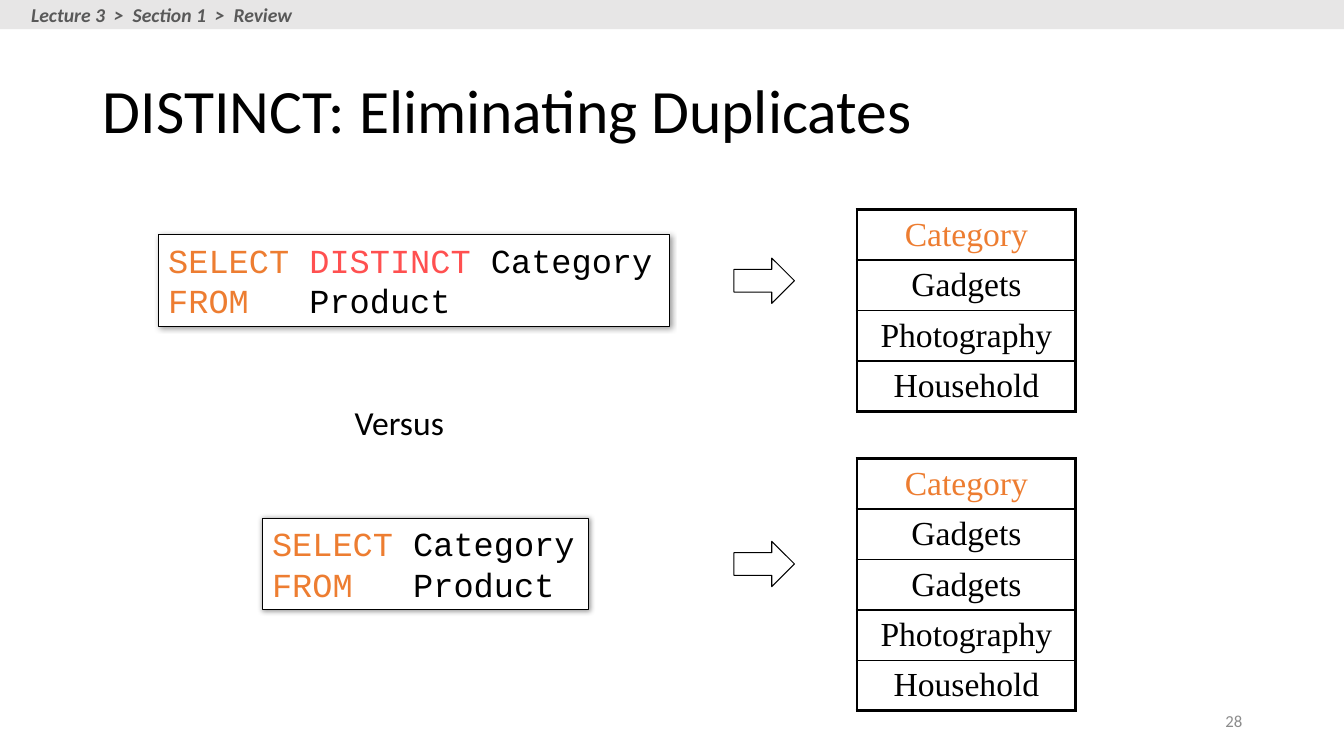
import pptx
import pptx.dml.color
import pptx.enum.shapes
import pptx.enum.text
import pptx.oxml
import pptx.oxml.ns
import pptx.util
from pptx.util import Inches

SHAPES = pptx.enum.shapes.MSO_SHAPE
ANCHOR = pptx.enum.text.MSO_ANCHOR
ALIGN = pptx.enum.text.PP_ALIGN
FIT = pptx.enum.text.MSO_AUTO_SIZE
BLACK, ORANGE, RED = "000000", "ED7D31", "FF5050"
CODE = {"name": "Courier New", "size": 24}
SANS = {"name": "Calibri", "size": 24}
SERIF = {"name": "Times New Roman", "size": 24}


def colour(value):
    return pptx.dml.color.RGBColor.from_string(value)


def drawing_xml(markup):
    return pptx.oxml.parse_xml(markup.replace(
        " ", f" {pptx.oxml.ns.nsdecls('a')} ", 1))


def add_span(para, text, ink, style):
    span = para.add_run()
    span.text = text
    for key, value in style.items():
        setattr(span.font, key, pptx.util.Pt(value) if key == "size" else value)
    span.font.color.rgb = colour(ink)


def add_label(page, place, text, ink, style, align=ALIGN.LEFT, anchor=ANCHOR.TOP):
    box = page.shapes.add_textbox(*map(Inches, place))
    frame = box.text_frame
    # Left-aligned labels stay on one line and grow with their text
    frame.word_wrap = align == ALIGN.RIGHT
    frame.auto_size = FIT.NONE if frame.word_wrap else FIT.SHAPE_TO_FIT_TEXT
    frame.vertical_anchor = anchor
    para = frame.paragraphs[0]
    para.alignment = align
    add_span(para, text, ink, style)


def add_outline(page, kind, place, fill=None, line=BLACK):
    shape = page.shapes.add_shape(kind, *map(Inches, place))
    shape.shadow.inherit = False
    if fill:
        shape.fill.solid()
        shape.fill.fore_color.rgb = colour(fill)
    else:
        shape.fill.background()
    if line:
        shape.line.color.rgb = colour(line)
        shape.line.width = pptx.util.Pt(0.75)
    else:
        shape.line.fill.background()
    return shape


def add_query(page, place, lines):
    box = add_outline(page, SHAPES.RECTANGLE, place, "FFFFFF")
    # Soft shadow towards the lower right
    effects = box._element.spPr.find(pptx.oxml.ns.qn("a:effectLst"))
    effects.append(drawing_xml(
        f'<a:outerShdw blurRad="{pptx.util.Pt(4)}" dist="{pptx.util.Pt(1)}" '
        'dir="2700000" algn="tl" rotWithShape="0"><a:srgbClr val="000000">'
        '<a:alpha val="40000"/></a:srgbClr></a:outerShdw>'))
    frame = box.text_frame
    frame.word_wrap = False
    frame.vertical_anchor = ANCHOR.TOP
    for index, line in enumerate(lines):
        para = frame.add_paragraph() if index else frame.paragraphs[0]
        para.alignment = ALIGN.LEFT
        for text, ink in line:
            add_span(para, text, ink, CODE)


def set_borders(cell, widths):
    properties = cell._tc.get_or_add_tcPr()
    for side, width in widths.items():
        properties.append(drawing_xml(
            f'<a:ln{side} w="{pptx.util.Pt(width)}"><a:solidFill>'
            f'<a:srgbClr val="{BLACK}"/></a:solidFill></a:ln{side}>'))


def add_result(page, top, values):
    rows = ["Category", *values]
    frame = page.shapes.add_table(len(rows), 1, Inches(8.5), Inches(top),
                                  Inches(2.17), Inches(0.5 * len(rows)))
    table = frame.table
    table.first_row = table.horz_banding = False
    for index, text in enumerate(rows):
        cell = table.cell(index, 0)
        # Thick frame and header, thin rules between values
        set_borders(cell, {"L": 2.25, "R": 2.25,
                           "T": 2.25 if index < 2 else 1,
                           "B": 2.25 if index in (0, len(rows) - 1) else 1})
        cell.fill.background()
        cell.vertical_anchor = ANCHOR.MIDDLE
        para = cell.text_frame.paragraphs[0]
        para.alignment = ALIGN.CENTER
        add_span(para, text, BLACK if index else ORANGE, SERIF)


def add_title(page, text):
    title = page.shapes.title
    title.left, title.top, title.width, title.height = map(
        Inches, (0.92, 0.4, 11.5, 1.45))
    title.text_frame.vertical_anchor = ANCHOR.MIDDLE
    para = title.text_frame.paragraphs[0]
    para.alignment = ALIGN.LEFT
    para.line_spacing = 0.9
    add_span(para, text, BLACK, {**SANS, "size": 44})


def main():
    deck = pptx.Presentation()
    deck.slide_width, deck.slide_height = Inches(13.33), Inches(7.5)
    page = deck.slides.add_slide(deck.slide_layouts[5])

    # Header strip, title and page number
    add_outline(page, SHAPES.RECTANGLE, (0, 0, 13.33, 0.29), "E7E6E6", None)
    add_label(page, (0.21, -0.02, 2.84, 0.34), "Lecture 3  >  Section 1  >  Review",
              "595959", {**SANS, "size": 14, "bold": True, "italic": True})
    add_title(page, "DISTINCT: Eliminating Duplicates")
    add_label(page, (9.42, 6.95, 3, 0.4), "28", "8C8C8C", {**SANS, "size": 12},
              ALIGN.RIGHT, ANCHOR.MIDDLE)

    # Queries
    source = [("FROM   ", ORANGE), ("Product", BLACK)]
    add_query(page, (1.57, 2.33, 5.07, 0.91),
              [[("SELECT ", ORANGE), ("DISTINCT ", RED), ("Category", BLACK)], source])
    add_label(page, (3.42, 3.94, 1.1, 0.5), "Versus", BLACK, SANS)
    add_query(page, (2.6, 5.14, 3.24, 0.91),
              [[("SELECT", ORANGE), (" Category", BLACK)], source])

    # Arrows and results
    for top in (2.56, 5.37):
        add_outline(page, SHAPES.RIGHT_ARROW, (7.28, top, 0.6, 0.45))
    categories = ["Gadgets", "Photography", "Household"]
    add_result(page, 2.08, categories)
    add_result(page, 4.55, ["Gadgets", *categories])

    deck.save("out.pptx")


if __name__ == "__main__":
    main()
